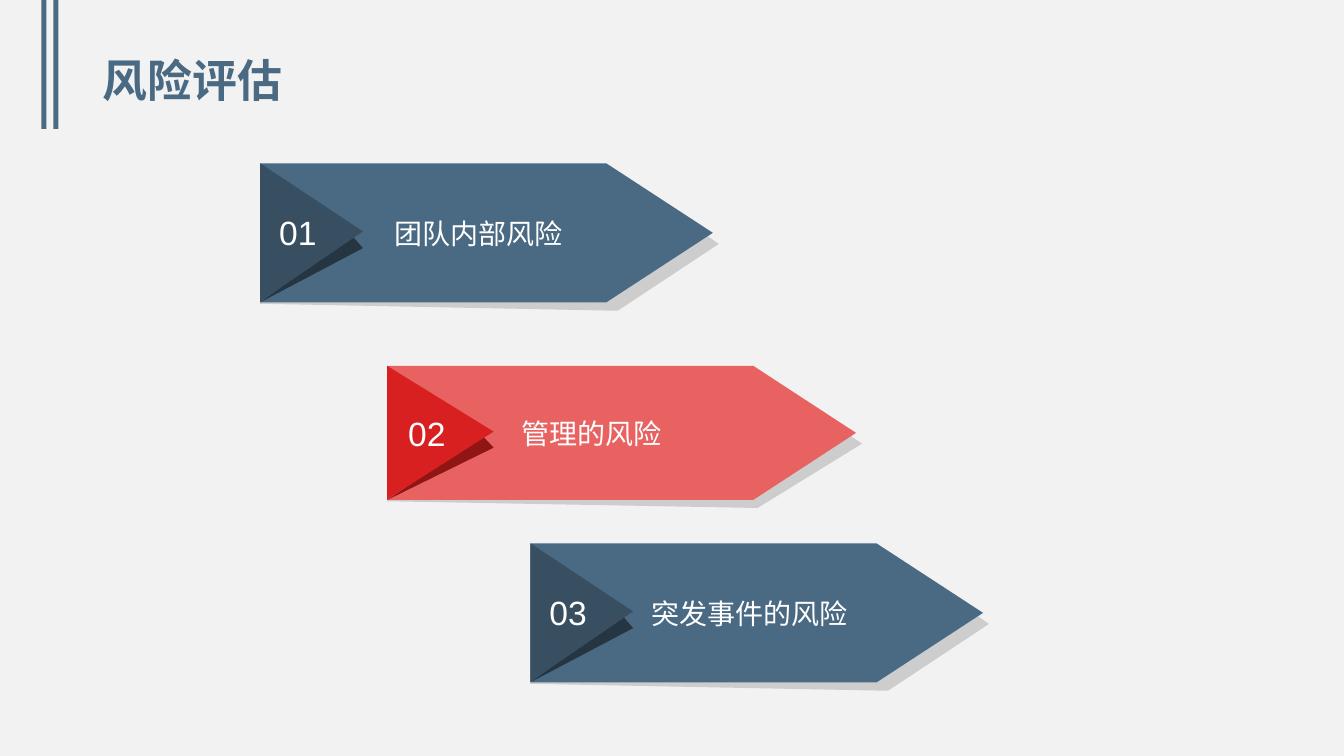
from pptx import Presentation
from pptx.dml.color import RGBColor
from pptx.enum.shapes import MSO_SHAPE as Shape
from pptx.enum.text import MSO_ANCHOR as Anchor, PP_ALIGN as Align
from pptx.util import Inches, Pt

W, H = 13.33, 7.5
COLORS = {
    "background": "F2F2F2", "blue": "4A6982", "blue_flap": "384F62", "blue_fold": "253541",
    "red": "E86262", "red_flap": "D82020", "red_fold": "901515",
    "shadow": "CDCDCD", "white": "FFFFFF",
}
SHADOW = [(0.01, 0.06), (0.79, 0.06), (1.013, 0.58), (0.79, 1.06), (0, 1.01)]
FOLD = [(0.203, 0.52), (0.227, 0.61), (0, 1)]
FLAP = [(0, 0), (0.227, 0.49), (0, 0.995)]
RISKS = [
    ("01", "团队内部风险", "blue", (2.58, 1.62, 4.49, 1.38), 1.33),
    ("02", "管理的风险", "red", (3.84, 3.63, 4.65, 1.33), 1.33),
    ("03", "突发事件的风险", "blue", (5.26, 5.39, 4.49, 1.38), 1.2),
]


def rgb(name):
    return RGBColor.from_string(COLORS[name])


def paint(s, color):
    s.shadow.inherit = False
    s.fill.solid()
    s.fill.fore_color.rgb = rgb(color)
    s.line.fill.background()
    return s


def write(s, text, size, color="white", bold=False, align=Align.LEFT,
          insets=(0.1, 0.05, 0.1, 0.05), spacing=1.0):
    tf = s.text_frame
    tf.word_wrap = True
    tf.vertical_anchor = Anchor.MIDDLE
    tf.margin_left, tf.margin_top, tf.margin_right, tf.margin_bottom = map(Inches, insets)
    p = tf.paragraphs[0]
    p.alignment, p.line_spacing = align, spacing
    r = p.add_run()
    r.text = text
    r.font.name, r.font.size, r.font.bold = "Arial", Pt(size), bold
    r.font.color.rgb = rgb(color)


def add_polygon(shapes, box, shares, color):
    x, y, w, h = box
    points = [(Inches(x + u * w), Inches(y + v * h)) for u, v in shares]
    builder = shapes.build_freeform(*points[0])
    builder.add_line_segments(points[1:], close=True)
    return paint(builder.convert_to_shape(), color)


def add_header(slide, text):
    for x in (0.41, 0.53):
        bar = slide.shapes.add_shape(Shape.RECTANGLE, *map(Inches, (x, 0, 0.05, 1.28)))
        paint(bar, "blue")
    title = slide.shapes.title
    title.left, title.top, title.width, title.height = map(Inches, (0.92, 0.43, 11.5, 0.79))
    write(title, text, 32, "blue", bold=True, spacing=0.9)


def add_risk(slide, number, label, color, box, indent):
    shapes = slide.shapes.add_group_shape().shapes
    add_polygon(shapes, box, SHADOW, "shadow")
    arrow = paint(shapes.add_shape(Shape.PENTAGON, *map(Inches, box)), color)
    arrow.adjustments[0] = 0.766
    write(arrow, label, 20, insets=(indent, 0, 0, 0))
    add_polygon(shapes, box, FOLD, f"{color}_fold")
    flap = add_polygon(shapes, box, FLAP, f"{color}_flap")
    write(flap, number, 24, align=Align.CENTER, insets=(0.04, 0, 0.31, 0))


def main():
    prs = Presentation()
    prs.slide_width, prs.slide_height = Inches(W), Inches(H)
    slide = prs.slides.add_slide(prs.slide_layouts[5])
    fill = slide.background.fill
    fill.solid()
    fill.fore_color.rgb = rgb("background")
    add_header(slide, "风险评估")
    for risk in RISKS:
        add_risk(slide, *risk)
    prs.save("out.pptx")


if __name__ == "__main__":
    main()
